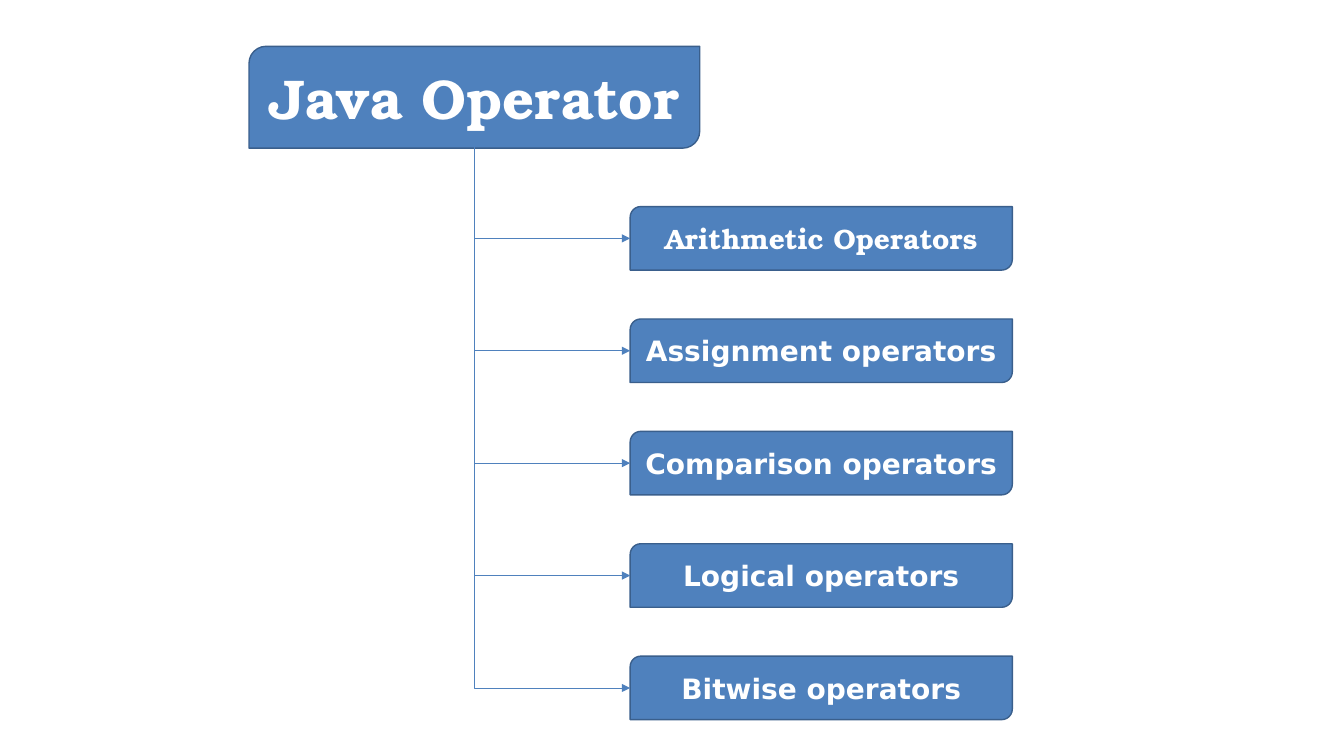
from lxml import etree
from pptx import Presentation
from pptx.dml.color import RGBColor
from pptx.enum.shapes import MSO_CONNECTOR, MSO_SHAPE
from pptx.enum.text import MSO_ANCHOR, PP_ALIGN
from pptx.oxml.ns import qn
from pptx.util import Inches, Pt

STRAIGHT, ELBOW = MSO_CONNECTOR.STRAIGHT, MSO_CONNECTOR.ELBOW
BOX = MSO_SHAPE.ROUND_2_DIAG_RECTANGLE
MIDDLE, CENTER = MSO_ANCHOR.MIDDLE, PP_ALIGN.CENTER

BLUE, EDGE, WHITE = "4F81BD", "3A5F8C", "FFFFFF"
SERIF, SANS = "TeX Gyre Bonum", "DejaVu Sans"
TRUNK_X, TRUNK_TOP = 4.71, 1.46
BOX_X, BOX_TOP, BOX_W, BOX_H, PITCH = 6.25, 2.05, 3.79, 0.63, 1.115

prs = Presentation()
prs.slide_width, prs.slide_height = Inches(13.33), Inches(7.5)
s = prs.slides.add_slide(prs.slide_layouts[6])


def add_box(text, x, y, w, h, font, size):
    sp = s.shapes.add_shape(BOX, Inches(x), Inches(y), Inches(w), Inches(h))
    sp.shadow.inherit = False
    sp.fill.solid()
    sp.fill.fore_color.rgb = RGBColor.from_string(BLUE)
    sp.line.color.rgb = RGBColor.from_string(EDGE)
    sp.line.width = Pt(1)
    tf = sp.text_frame
    tf.word_wrap = True
    tf.vertical_anchor = MIDDLE
    p = tf.paragraphs[0]
    p.text = text
    p.alignment = CENTER
    p.font.name, p.font.size, p.font.bold = font, Pt(size), True
    p.font.color.rgb = RGBColor.from_string(WHITE)


def add_arrow(kind, x1, y1, x2, y2):
    cxn = s.shapes.add_connector(kind, Inches(x1), Inches(y1), Inches(x2), Inches(y2))
    cxn.line.color.rgb = RGBColor.from_string(BLUE)
    cxn.line.width = Pt(0.5)
    sp_pr = cxn._element.spPr
    etree.SubElement(sp_pr.find(qn("a:ln")), qn("a:tailEnd"), type="triangle")
    etree.SubElement(sp_pr, qn("a:effectLst"))
    return cxn


add_box("Java Operator", 2.47, 0.46, 4.47, 1.01, SERIF, 40)

operators = [
    ("Arithmetic Operators", SERIF),
    ("Assignment operators", SANS),
    ("Comparison operators", SANS),
    ("Logical operators", SANS),
    ("Bitwise operators", SANS),
]
for i, (label, font) in enumerate(operators):
    top = BOX_TOP + i * PITCH
    mid = top + BOX_H / 2
    add_box(label, BOX_X, top, BOX_W, BOX_H, font, 20)
    if i < len(operators) - 1:
        add_arrow(STRAIGHT, TRUNK_X, mid, BOX_X, mid)

# The trunk runs down and then right: a one-bend connector, mirrored and turned by 270 degrees
run, drop = BOX_X - TRUNK_X, mid - TRUNK_TOP
center_x, center_y = TRUNK_X + run / 2, TRUNK_TOP + drop / 2
trunk = add_arrow(ELBOW, center_x - drop / 2, center_y - run / 2,
                  center_x + drop / 2, center_y + run / 2)
sp_pr = trunk._element.spPr
sp_pr.find(qn("a:prstGeom")).set("prst", "bentConnector2")
xfrm = sp_pr.find(qn("a:xfrm"))
xfrm.set("rot", str(270 * 60000))
xfrm.set("flipH", "1")

prs.save("out.pptx")
